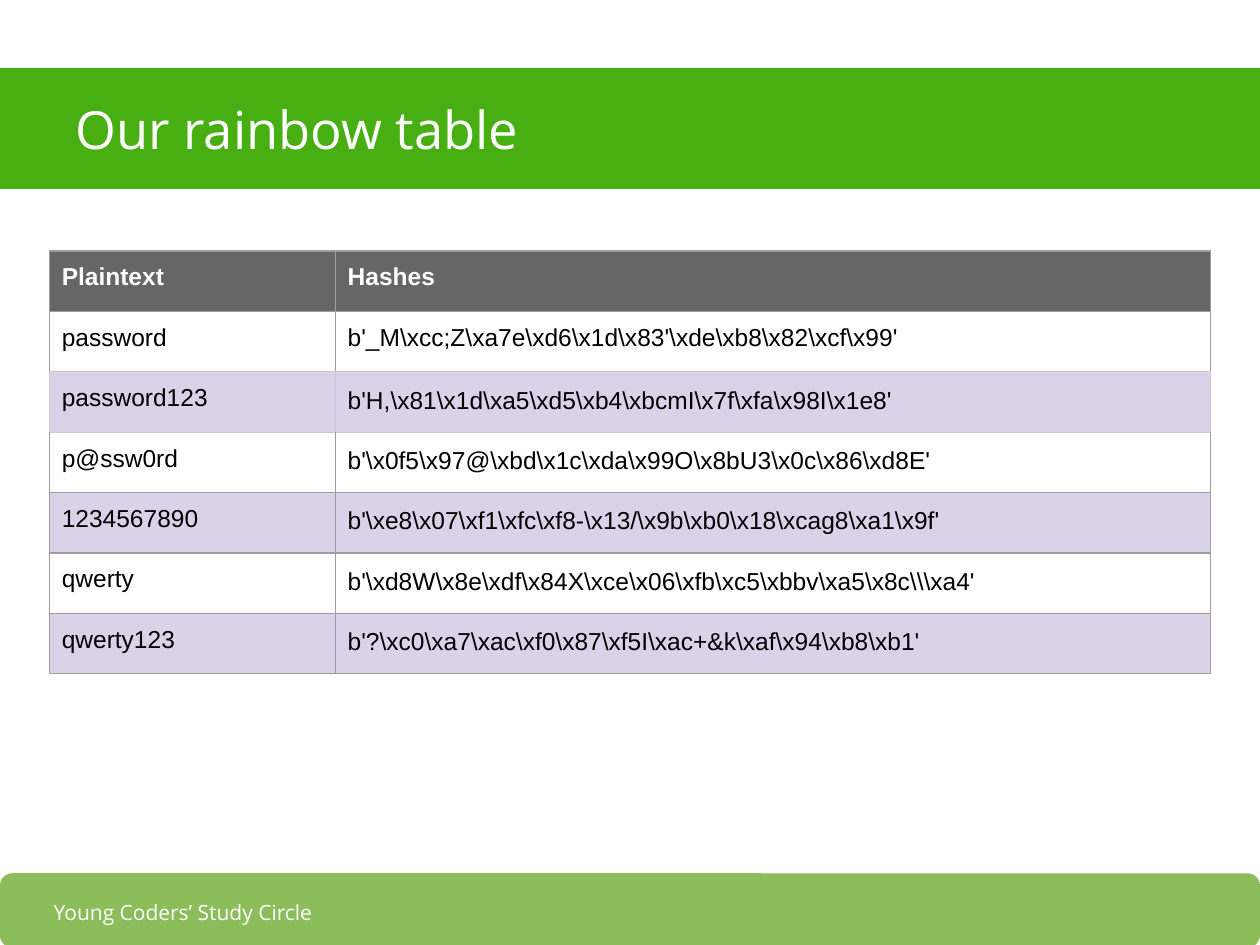
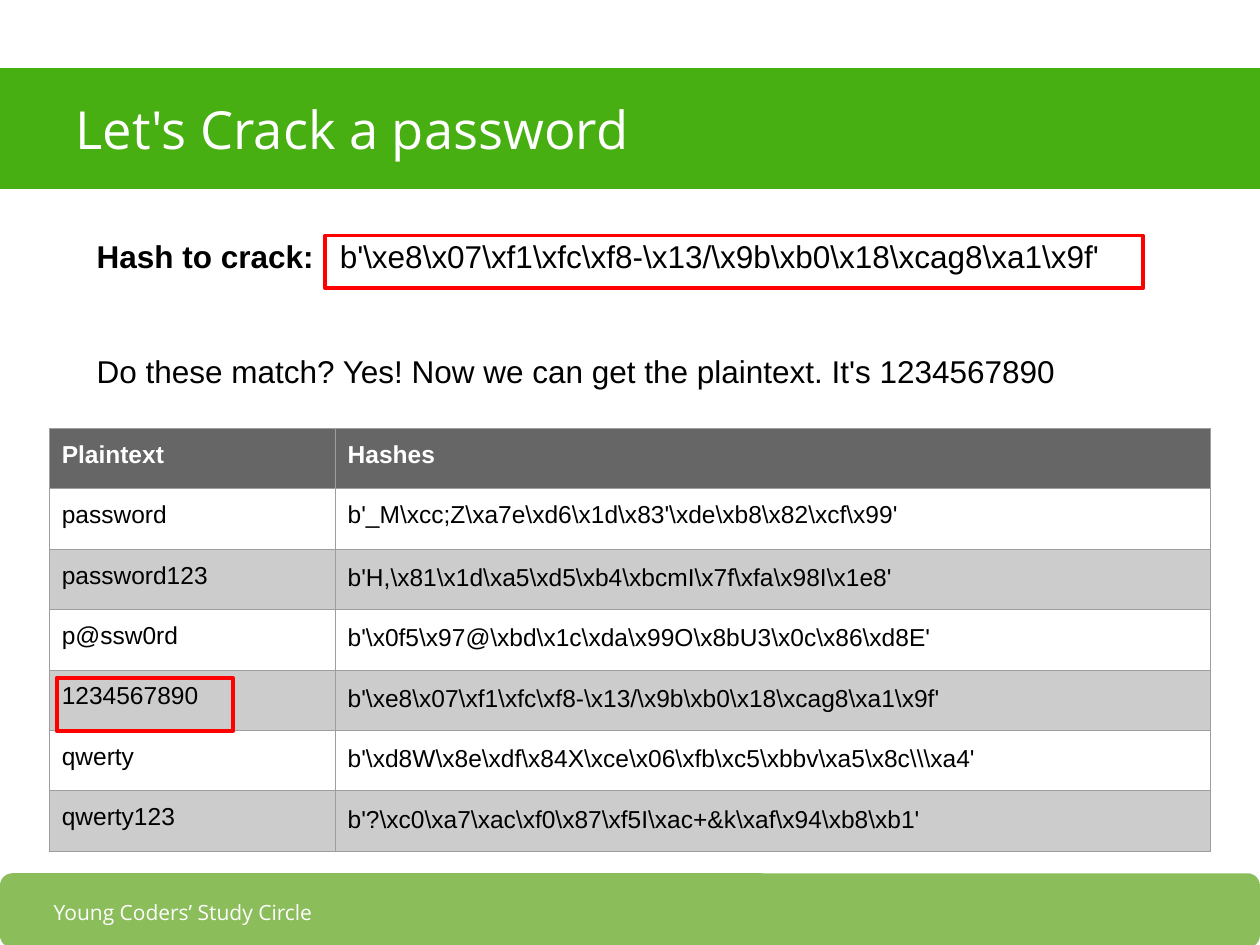
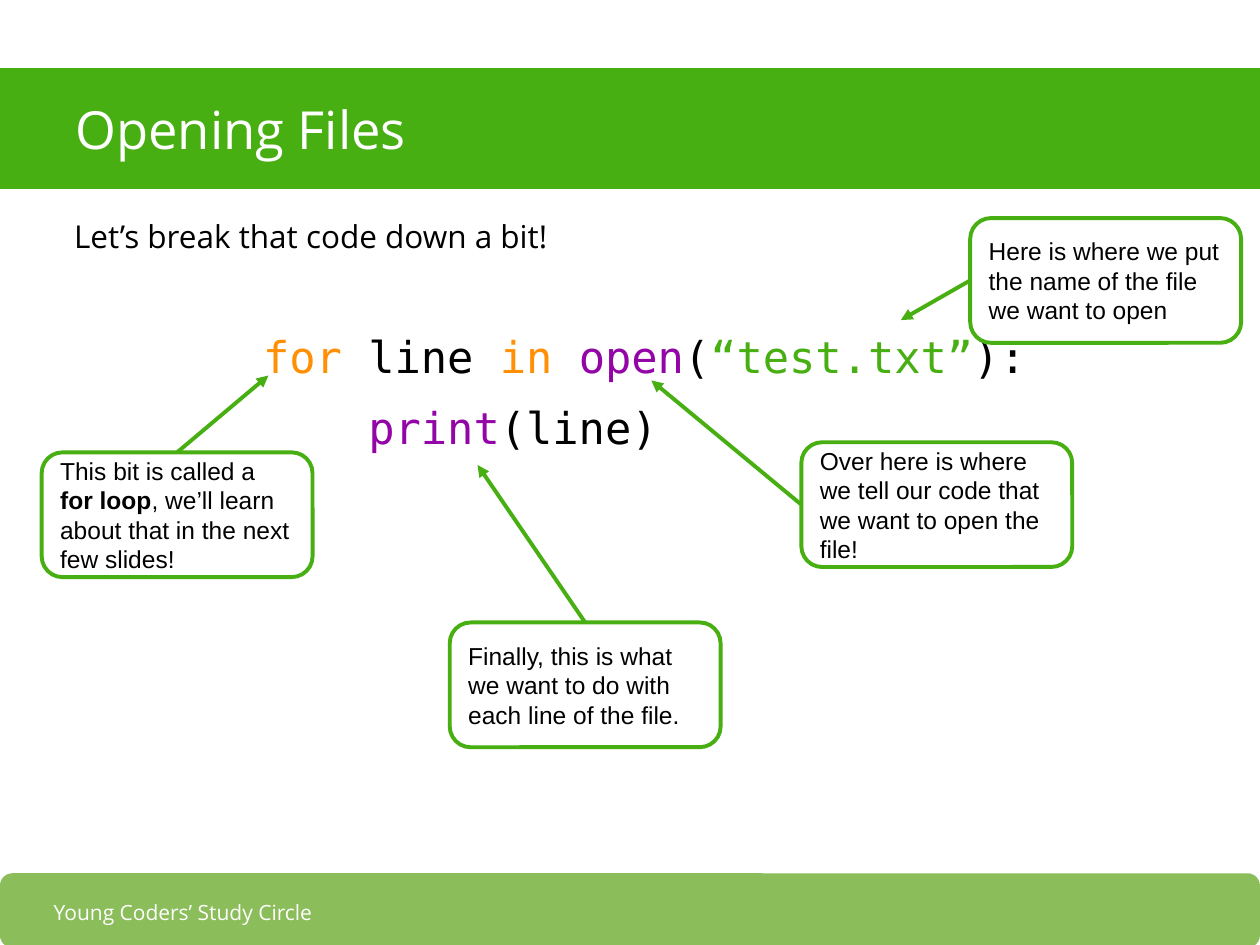
from dataclasses import dataclass

from lxml import etree
from pptx import Presentation
from pptx.dml.color import RGBColor
from pptx.enum import shapes, text
from pptx.oxml.ns import qn
from pptx.util import Pt


@dataclass(frozen=True)
class Theme:
    green: str = "47AF11"
    footer: str = "8BBD5B"
    white: str = "FFFFFF"
    black: str = "000000"
    red: str = "FF0000"
    head: str = "666666"
    border: str = "9E9E9E"
    pale: str = "CCCCCC"
    lilac: str = "D9D2E9"
    keyword: str = "FF9006"
    builtin: str = "9305A6"
    sans: str = "Open Sans"
    plain: str = "Arial"
    mono: str = "DejaVu Sans Mono"
    title_size: float = 30
    code_size: float = 25
    body_size: float = 18
    small_size: float = 14
    footer_size: float = 12
    stroke: float = 2.25
    hairline: float = 0.75
    inset: float = 7.2


T = Theme()

# Content
FOOTER = "Young Coders’ Study Circle"
TITLES = ["Our rainbow table", "Let's Crack a password", "Opening Files"]
HEADER = ("Plaintext", "Hashes")
HASHES = [
    ("password", r"b'_M\xcc;Z\xa7e\xd6\x1d\x83'\xde\xb8\x82\xcf\x99'"),
    ("password123", r"b'H,\x81\x1d\xa5\xd5\xb4\xbcmI\x7f\xfa\x98I\x1e8'"),
    ("p@ssw0rd", r"b'\x0f5\x97@\xbd\x1c\xda\x99O\x8bU3\x0c\x86\xd8E'"),
    ("1234567890", r"b'\xe8\x07\xf1\xfc\xf8-\x13/\x9b\xb0\x18\xcag8\xa1\x9f'"),
    ("qwerty", r"b'\xd8W\x8e\xdf\x84X\xce\x06\xfb\xc5\xbbv\xa5\x8c\\\xa4'"),
    ("qwerty123", r"b'?\xc0\xa7\xac\xf0\x87\xf5I\xac+&k\xaf\x94\xb8\xb1'"),
]
CRACKED, TARGET = HASHES[3]
CRACK_LABEL = "Hash to crack:"
CRACK_ANSWER = f"Do these match? Yes! Now we can get the plaintext. It's {CRACKED}"
HIGHLIGHTS = [(185.8, 134.6, 467.3, 30.2), (32.4, 387.4, 100.8, 30.2)]

INTRO = "Let’s break that code down a bit!"
CODE = [
    [("for ", T.keyword), ("line", T.black), (" in ", T.keyword),
     ("open", T.builtin), ("(", T.black), ("“test.txt”", T.green),
     ("):", T.black)],
    [("    ", T.black), ("print", T.builtin), ("(line)", T.black)],
]
TOP, LEFT = 0, 1
# Callouts: corner, (words, bold) runs, side the arrow leaves from, arrow tip
CALLOUTS = [
    ((23.8, 258.5), [("This bit is called a ", False), ("for loop", True),
                     (", we’ll learn about that in the next few slides!", False)],
     TOP, (153.4, 214.6)),
    ((457.9, 252.7), [("Over here is where we tell our code that we want to "
                       "open the file!", False)], LEFT, (372.2, 217.4)),
    ((554.4, 124.6), [("Here is where we put the name of the file we want to "
                       "open", False)], LEFT, (514.8, 182.9)),
    ((257, 355.7), [("Finally, this is what we want to do with each line of "
                     "the file.", False)], TOP, (272.9, 265.7)),
]
CALLOUT_SIZE = (154.8, 71.3)


# Helpers
def rgb(color):
    return RGBColor.from_string(color)


def pts(*values):
    return [Pt(v) for v in values]


def style(font, size, color, name=T.plain, bold=None):
    font.size, font.name, font.bold = Pt(size), name, bold
    font.color.rgb = rgb(color)


def set_insets(box, top=T.inset, bottom=T.inset):
    box.margin_left = box.margin_right = Pt(T.inset)
    box.margin_top, box.margin_bottom = Pt(top), Pt(bottom)


def frame(sp, anchor=text.MSO_ANCHOR.TOP):
    tf = sp.text_frame
    tf.word_wrap, tf.auto_size = True, text.MSO_AUTO_SIZE.NONE
    tf.vertical_anchor = anchor
    set_insets(tf)
    return tf


def add_run(p, words, color=None, bold=None):
    r = p.add_run()
    r.text, r.font.bold = words, bold
    if color:
        r.font.color.rgb = rgb(color)


def add_box(s, at, fill=None, line=None, kind=shapes.MSO_SHAPE.RECTANGLE):
    sp = s.shapes.add_shape(kind, *pts(*at))
    sp.shadow.inherit = False
    if fill:
        sp.fill.solid()
        sp.fill.fore_color.rgb = rgb(fill)
    else:
        sp.fill.background()
    if line:
        sp.line.color.rgb, sp.line.width = rgb(line), Pt(T.stroke)
    else:
        sp.line.fill.background()
    return sp


def add_arrow(s, sp, side, tip):
    line = s.shapes.add_connector(shapes.MSO_CONNECTOR.STRAIGHT,
                                  sp.left, sp.top, *pts(*tip))
    line.begin_connect(sp, side)
    line.line.color.rgb, line.line.width = rgb(T.green), Pt(T.stroke)
    props = line.element.spPr
    etree.SubElement(props.find(qn("a:ln")), qn("a:tailEnd"), type="triangle")
    etree.SubElement(props, qn("a:effectLst"))


def add_border(cell, side, color):
    ln = etree.SubElement(cell._tc.get_or_add_tcPr(), qn(f"a:ln{side}"),
                          w=str(Pt(T.hairline)))
    fill = etree.SubElement(ln, qn("a:solidFill"))
    etree.SubElement(fill, qn("a:srgbClr"), val=color)


def add_hash_table(s, top, band, pale_row=None):
    rows, widths, height = [HEADER, *HASHES], (163.4, 500.4), 34.55
    table = s.shapes.add_table(len(rows), len(widths), *pts(
        28.1, top, sum(widths), height * len(rows))).table
    table.horz_banding = False
    for col, width in zip(table.columns, widths):
        col.width = Pt(width)
    for i, row in enumerate(rows):
        table.rows[i].height = Pt(height)
        for j, words in enumerate(row):
            cell = table.cell(i, j)
            # A pale row also shares its edges with its neighbours
            for side, neighbour in (("L", i), ("R", i), ("T", i - 1), ("B", i + 1)):
                pale = pale_row in (i, neighbour)
                add_border(cell, side, T.pale if pale else T.border)
            fill = T.head if i == 0 else band if i % 2 == 0 else None
            if fill:
                cell.fill.solid()
                cell.fill.fore_color.rgb = rgb(fill)
            else:
                cell.fill.background()
            set_insets(cell, *((8.6, 0) if j and i > 1 else ()))
            cell.text = words
            style(cell.text_frame.paragraphs[0].font, T.small_size,
                  T.black if i else T.white, bold=i == 0)


def add_shared_parts(layout, s):
    """Build the bands and footer once, then hand them to the layout."""
    for ph in list(layout.placeholders)[1:]:
        ph.element.getparent().remove(ph.element)
    band = add_box(s, (-5, 38.9, 728.6, 69.1), T.green)
    bar = add_box(s, (0, 499, 720, 42.5), T.footer,
                  kind=shapes.MSO_SHAPE.ROUNDED_RECTANGLE)
    label = s.shapes.add_textbox(*pts(-27.4, 506.9, 213.1, 28.1))
    p = frame(label, text.MSO_ANCHOR.MIDDLE).paragraphs[0]
    p.text, p.alignment = FOOTER, text.PP_ALIGN.RIGHT
    style(p.font, T.footer_size, T.white, T.sans)
    for k, sp in enumerate((bar, label, band)):
        layout.shapes.element.insert(2 + k, sp.element)


def add_titled_slide(prs, layout, title):
    s = prs.slides.add_slide(layout)
    sp = s.shapes.title
    sp.left, sp.top, sp.width, sp.height = pts(36, 38.9, 648, 69.1)
    p = frame(sp, text.MSO_ANCHOR.MIDDLE).paragraphs[0]
    p.text, p.alignment = title, text.PP_ALIGN.LEFT
    style(p.font, T.title_size, T.white, T.sans)
    return s


def fill_crack_slide(s):
    add_hash_table(s, 244.8, T.pale)
    tf = frame(s.shapes.add_textbox(*pts(48.2, 128.2, 623.5, 101.5)))
    p = tf.paragraphs[0]
    tabs = etree.SubElement(p._p.get_or_add_pPr(), qn("a:tabLst"))
    etree.SubElement(tabs, qn("a:tab"), pos=str(Pt(138.9)), algn="l")
    style(p.font, T.body_size, T.black)
    add_run(p, CRACK_LABEL, bold=True)
    add_run(p, "\t" + TARGET)
    p = tf.add_paragraph()
    p.text, p.space_before = CRACK_ANSWER, Pt(44)
    style(p.font, T.body_size, T.black)
    for at in HIGHLIGHTS:
        add_box(s, at, line=T.red)


def fill_code_slide(s):
    tf = frame(s.shapes.add_textbox(*pts(35.3, 113.8, 648, 379.4)))
    p = tf.paragraphs[0]
    p.text, p.line_spacing = INTRO, 1.15
    style(p.font, T.body_size, T.black, T.sans)
    for runs, gap in zip(CODE, (38, 6)):
        p = tf.add_paragraph()
        p.line_spacing, p.space_before = 1.15, Pt(gap)
        p._p.get_or_add_pPr().set("marL", str(Pt(108)))
        style(p.font, T.code_size, T.black, T.mono)
        for words, color in runs:
            add_run(p, words, color)

    boxes = []
    for corner, runs, _, _ in CALLOUTS:
        sp = add_box(s, corner + CALLOUT_SIZE, T.white, T.green,
                     shapes.MSO_SHAPE.ROUNDED_RECTANGLE)
        p = frame(sp, text.MSO_ANCHOR.MIDDLE).paragraphs[0]
        p.alignment = text.PP_ALIGN.LEFT
        style(p.font, T.small_size, T.black)
        for words, bold in runs:
            add_run(p, words, T.black, bold)
        boxes.append(sp)
    for sp, (_, _, side, tip) in zip(boxes, CALLOUTS):
        add_arrow(s, sp, side, tip)


def main():
    prs = Presentation()
    prs.slide_width, prs.slide_height = pts(720, 540)
    layout = prs.slide_layouts.get_by_name("Title Only")
    table, crack, code = [add_titled_slide(prs, layout, t) for t in TITLES]
    add_shared_parts(layout, table)
    add_hash_table(table, 143.4, T.lilac, pale_row=2)
    fill_crack_slide(crack)
    fill_code_slide(code)
    prs.save("out.pptx")


if __name__ == "__main__":
    main()
